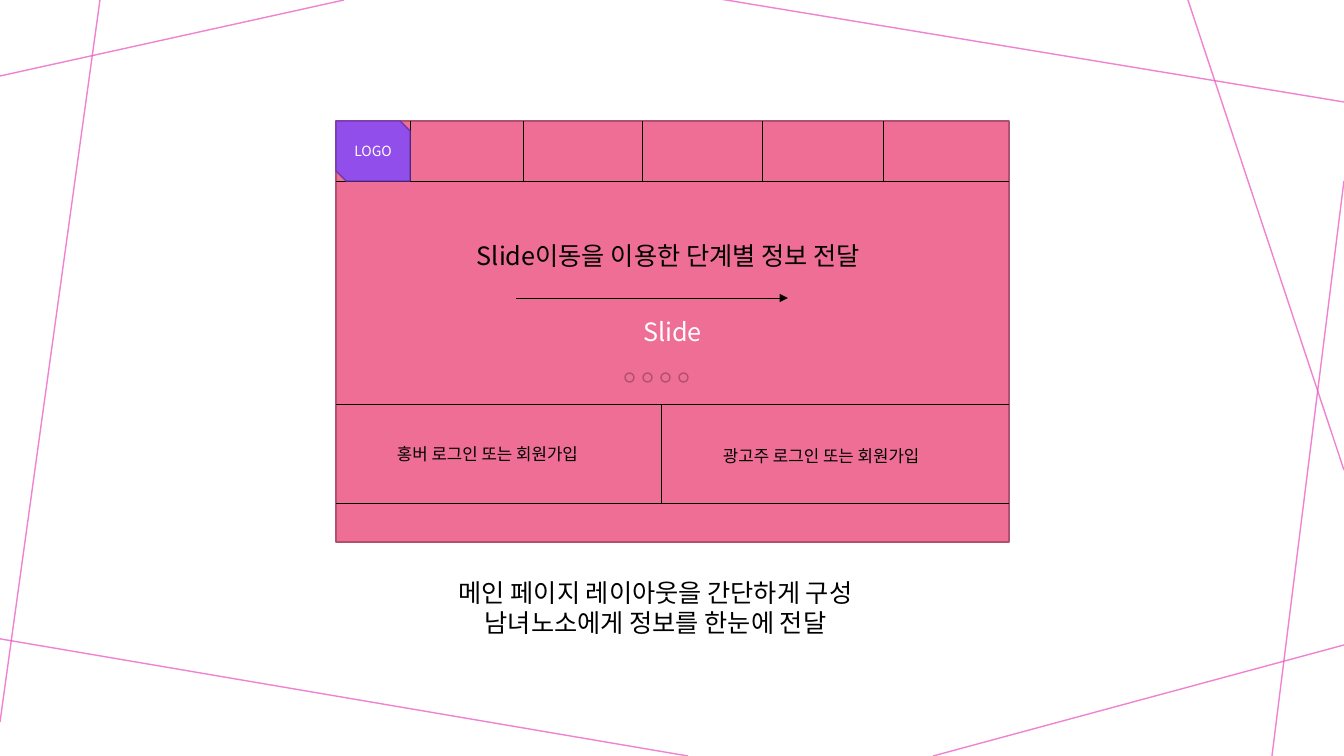
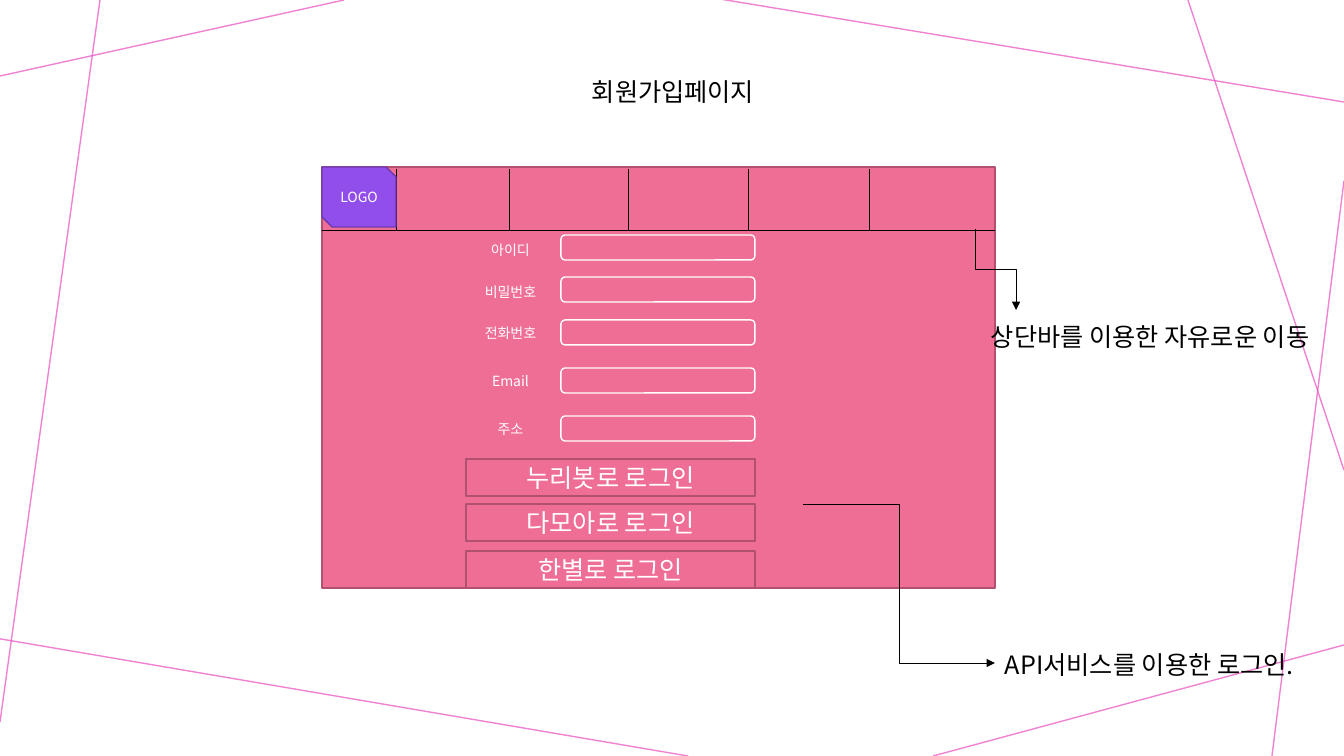
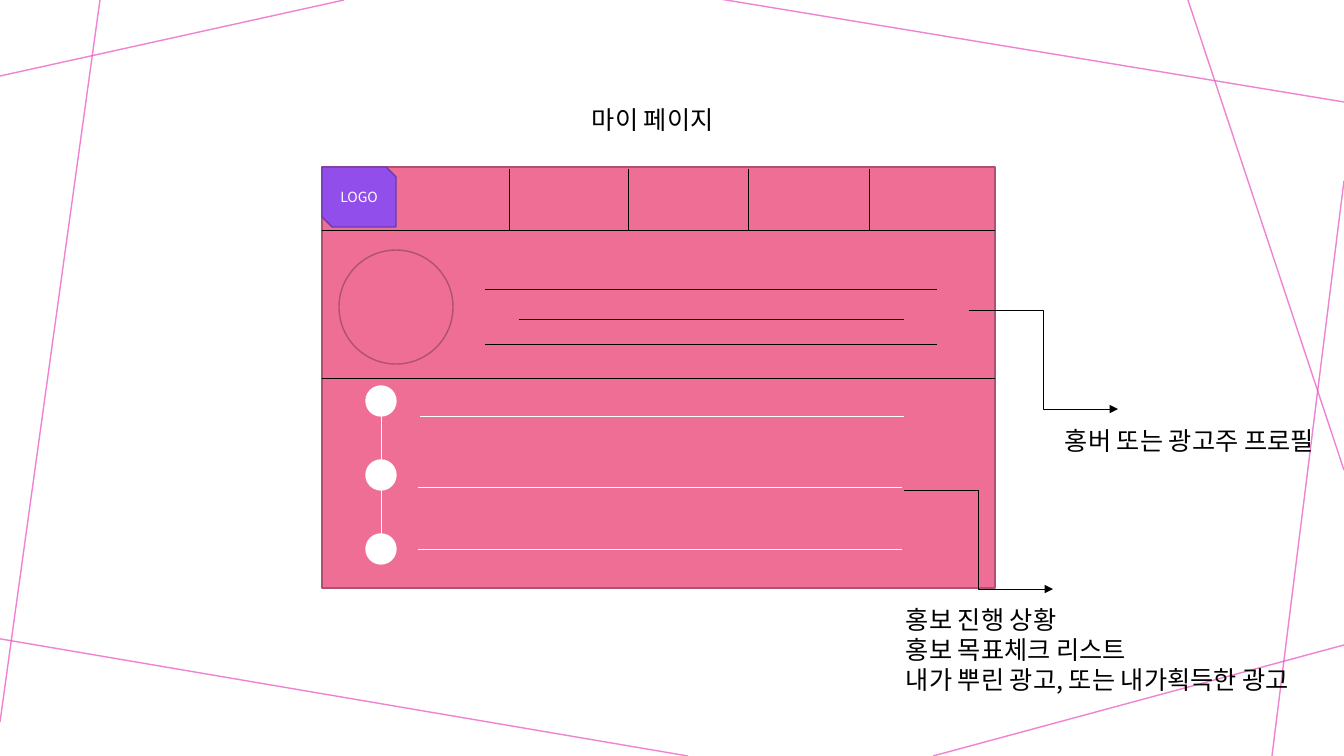
from lxml.etree import SubElement
from pptx import Presentation
from pptx.dml.color import RGBColor
from pptx.enum.shapes import MSO_CONNECTOR as Link, MSO_SHAPE as Preset
from pptx.enum.text import MSO_ANCHOR as Anchor, MSO_AUTO_SIZE as AutoSize, PP_ALIGN as Align
from pptx.oxml.ns import qn
from pptx.util import Emu, Pt

# Shared style
SCALE = 914400 / 100.8
FONT = "Noto Sans CJK KR"
COLORS = {
    "frame": "EB4EC0",
    "panel": "EE6E96",
    "edge": "B0516F",
    "logo": "924EEB",
    "logo_edge": "6C3AAE",
    "white": "FFFFFF",
    "black": "000000",
}
FRAME_LINES = [
    (344, 0, 0, 76), (100, 0, 0, 722), (688, 756, -5, 638), (1344, 645, 933, 756),
    (1344, 181, 1272, 756), (1344, 470, 1188, 0), (1344, 102, 720, -1),
]
PANEL_WIDTH, PANEL_HEIGHT = 673, 421
TAB_OFFSETS = [74, 187, 306, 426, 547]


def px(length):
    return Emu(round(length * SCALE))


def color(name):
    return RGBColor.from_string(COLORS[name])


class Wireframe:
    def __init__(self):
        self.deck = Presentation()
        self.deck.slide_width, self.deck.slide_height = px(1344), px(756)
        self.page = None

    def new_page(self):
        self.page = self.deck.slides.add_slide(self.deck.slide_layouts[6])
        for ends in FRAME_LINES:
            self.line(*ends, ink="frame", width=1, alpha=70)

    # Lines and arrows
    def line(self, x1, y1, x2, y2, ink="black", width=0.5, alpha=None, arrow=False,
             kind=Link.STRAIGHT):
        link = self.page.shapes.add_connector(kind, px(x1), px(y1), px(x2), px(y2))
        link.line.color.rgb = color(ink)
        link.line.width = Pt(width)
        properties = link._element.spPr
        stroke = properties.find(qn("a:ln"))
        if alpha:
            tint = stroke.find(".//" + qn("a:srgbClr"))
            SubElement(tint, qn("a:alpha"), val=str(alpha * 1000))
        if arrow:
            SubElement(stroke, qn("a:tailEnd"), type="triangle")
        SubElement(properties, qn("a:effectLst"))
        return link

    def bent_arrow(self, x1, y1, x2, y2):
        return self.line(x1, y1, x2, y2, arrow=True, kind=Link.ELBOW)

    def bent_arrow_down(self, x1, y1, x2, y2):
        """Leave vertically: a quarter-turned elbow about the same centre."""
        middle_x, middle_y = (x1 + x2) / 2, (y1 + y2) / 2
        half_width, half_height = (y2 - y1) / 2, (x2 - x1) / 2
        link = self.bent_arrow(middle_x - half_width, middle_y - half_height,
                               middle_x + half_width, middle_y + half_height)
        frame = link._element.spPr.find(qn("a:xfrm"))
        frame.set("rot", "16200000")
        frame.set("flipH", "1")

    # Text and shapes
    def fill_text(self, frame, lines, size, ink, align):
        frame.text = "\n".join(lines)
        for para in frame.paragraphs:
            para.alignment = align
            para.font.size = Pt(size)
            para.font.color.rgb = color(ink)
            para.font.name = FONT
            SubElement(para.font._rPr, qn("a:ea"), typeface=FONT)

    def text(self, left, top, width, height, *lines, size=18, align=Align.LEFT):
        box = self.page.shapes.add_textbox(px(left), px(top), px(width), px(height))
        frame = box.text_frame
        self.fill_text(frame, lines, size, "black", align)
        frame.word_wrap = False
        frame.auto_size = AutoSize.SHAPE_TO_FIT_TEXT

    def shape(self, preset, left, top, width, height, fill="panel", edge="edge",
              label=None, size=18):
        box = self.page.shapes.add_shape(preset, px(left), px(top), px(width), px(height))
        box.shadow.inherit = False
        box.fill.solid()
        box.fill.fore_color.rgb = color(fill)
        if edge:
            box.line.color.rgb = color(edge)
            box.line.width = Pt(1)
        else:
            box.line.fill.background()
        if label:
            box.text_frame.vertical_anchor = Anchor.MIDDLE
            self.fill_text(box.text_frame, [label], size, "white", Align.CENTER)

    def circle(self, left, top, size, **style):
        self.shape(Preset.FLOWCHART_CONNECTOR, left, top, size, size, **style)

    # Mock screen with its menu bar
    def screen(self, left, top, menu_top, menu_bottom, tabs=TAB_OFFSETS, label=None):
        self.shape(Preset.RECTANGLE, left, top, PANEL_WIDTH, PANEL_HEIGHT, label=label)
        self.divider(left, menu_bottom)
        for offset in tabs:
            self.line(left + offset, menu_top, left + offset, menu_bottom)
        self.shape(Preset.SNIP_2_DIAG_RECTANGLE, left, top, 74, 60,
                   fill="logo", edge="logo_edge", label="LOGO", size=10)

    def divider(self, left, y):
        self.line(left, y, left + PANEL_WIDTH, y)


show = Wireframe()

# Main page
show.new_page()
show.screen(336, 121, 121, 181, label="Slide")
for y in (404, 503):
    show.divider(336, y)
show.line(661, 404, 661, 503)
show.text(387, 439, 222, 30, "홍버 로그인 또는 회원가입", size=12)
show.text(713, 441, 238, 30, "광고주 로그인 또는 회원가입", size=12)
show.text(427, 572, 457, 72, "메인 페이지 레이아웃을 간단하게 구성",
          "남녀노소에게 정보를 한눈에 전달", align=Align.CENTER)
for step in range(4):
    show.circle(625 + 18 * step, 373, 9)
show.line(516, 298, 788, 298, arrow=True)
show.text(467, 235, 433, 40, "Slide이동을 이용한 단계별 정보 전달")

# Sign-up page
show.new_page()
show.screen(322, 167, 169, 230)
for caption, field_top, caption_top in [
    ("아이디", 235, 239), ("비밀번호", 277, 281), ("전화번호", 320, 322),
    ("Email", 368, 370), ("주소", 416, 418),
]:
    show.shape(Preset.ROUNDED_RECTANGLE, 561, field_top, 194, 25, edge="white")
    show.shape(Preset.ROUNDED_RECTANGLE, 466, caption_top, 89, 21, edge=None,
               label=caption, size=10)
for service, top in [("누리봇", 459), ("다모아", 504), ("한별", 551)]:
    show.shape(Preset.RECTANGLE, 466, top, 289, 37, label=f"{service}로 로그인")
show.text(582, 71, 199, 40, "회원가입페이지")
show.bent_arrow(803, 504, 995, 663)
show.text(995, 644, 334, 40, "API서비스를 이용한 로그인.")
show.bent_arrow_down(975, 229, 1016, 310)
show.text(981, 316, 373, 40, "상단바를 이용한 자유로운 이동")

# My page
show.new_page()
show.screen(322, 167, 169, 230, tabs=TAB_OFFSETS[1:])
show.text(582, 99, 155, 40, "마이 페이지")
show.circle(339, 250, 114)
show.divider(322, 378)
for left, right, y in [(485, 937, 289), (519, 904, 319), (485, 937, 344)]:
    show.line(left, y, right, y)
for step in range(3):
    dot_top = 386 + 74 * step
    show.circle(366, dot_top, 30, fill="white", edge="white")
    if step < 2:
        show.line(381, dot_top + 30, 381, dot_top + 74, ink="white")
for left, y in [(420, 416), (418, 487), (418, 549)]:
    show.line(left, y, left + 484, y, ink="white")
show.bent_arrow(904, 490, 1053, 589)
show.text(896, 599, 444, 102, "홍보 진행 상황", "홍보 목표체크 리스트",
          "내가 뿌린 광고, 또는 내가획득한 광고")
show.bent_arrow(969, 310, 1118, 409)
show.text(1055, 420, 296, 40, "홍버 또는 광고주 프로필")

show.deck.save("out.pptx")
